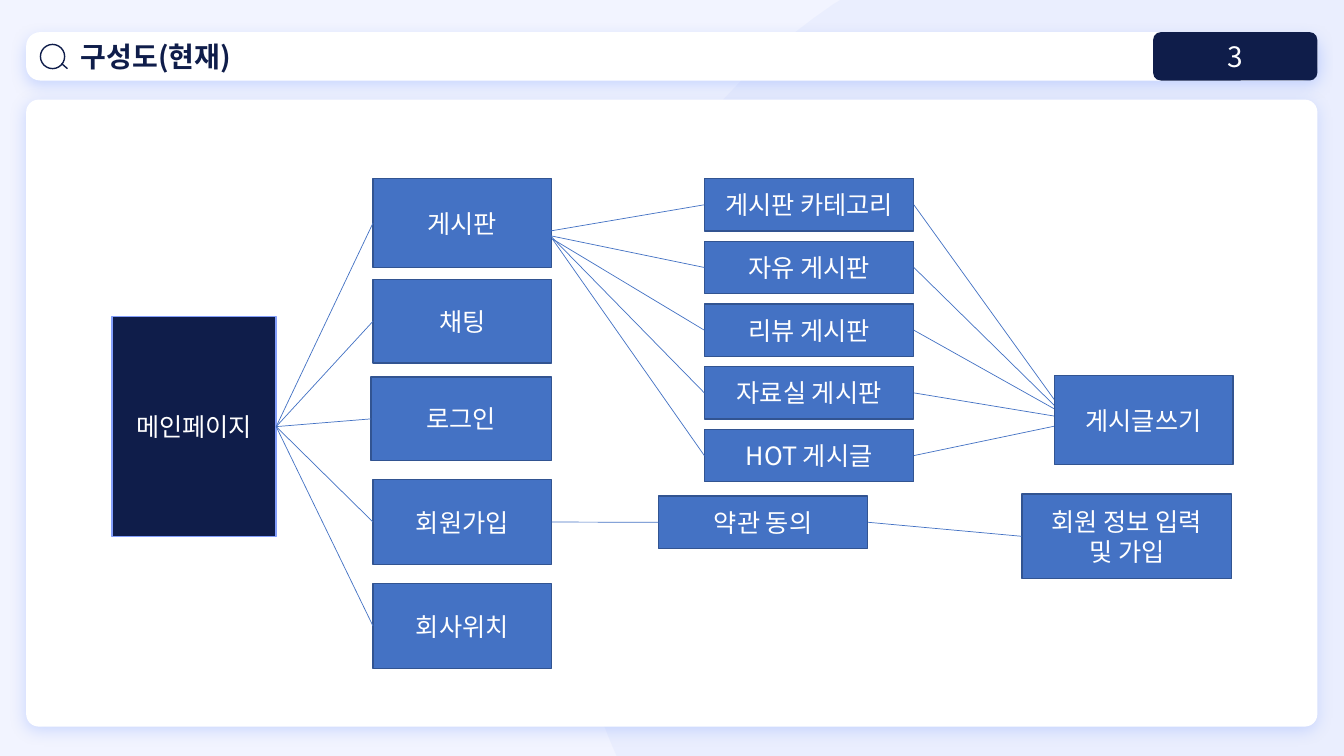
from pptx import Presentation
from pptx.dml.color import RGBColor
from pptx.enum.shapes import MSO_CONNECTOR as Connector, MSO_SHAPE as Shape
from pptx.enum.text import MSO_ANCHOR as Anchor, PP_ALIGN as Align
from pptx.oxml.ns import qn
from pptx.util import Cm, Pt
from lxml.etree import SubElement

FONT = "Noto Sans CJK KR"
NAVY, BLUE, EDGE, WHITE, GLOW = "0F1D4A", "4472C4", "325491", "FFFFFF", "8FACFC"
TOP, LEFT, BOTTOM, RIGHT = range(4)


def color(value):
    """Turn a hex string into a colour."""
    return RGBColor.from_string(value)


def write(box, text, size=18, ink=WHITE, bold=False, align=Align.CENTER, indent=0):
    """Fill a shape with formatted text, one paragraph a line."""
    frame = box.text_frame
    frame.word_wrap = True
    frame.vertical_anchor = Anchor.MIDDLE
    for index, line in enumerate(text.split("\n")):
        para = frame.add_paragraph() if index else frame.paragraphs[0]
        para.alignment = align
        span = para.add_run()
        span.text = line
        span.font.name = FONT
        span.font.size = Pt(size)
        span.font.bold = bold
        span.font.color.rgb = color(ink)
    for props in box.element.iter(qn("a:rPr")):
        SubElement(props, qn("a:ea"), typeface=FONT)
    if indent:
        for props in box.element.iter(qn("a:pPr")):
            props.set("marL", str(Cm(indent)))
            props.set("indent", "0")


def add_box(page, kind, place, fill=None, line=None, radius=None):
    """Add a preset shape with plain fill and outline."""
    box = page.shapes.add_shape(kind, *map(Cm, place))
    box.shadow.inherit = False
    if radius is not None:
        box.adjustments[0] = radius
    if fill:
        box.fill.solid()
        box.fill.fore_color.rgb = color(fill)
    else:
        box.fill.background()
    if line:
        box.line.color.rgb = color(line)
        box.line.width = Pt(1)
    else:
        box.line.fill.background()
    return box


def add_card(page, place, radius):
    """Add a white rounded card with a soft shadow."""
    card = add_box(page, Shape.ROUNDED_RECTANGLE, place, WHITE, radius=radius)
    effects = card.element.spPr.find(qn("a:effectLst"))
    shadow = SubElement(effects, qn("a:outerShdw"), blurRad=str(Pt(11)),
                        dist=str(Pt(3)), dir="5400000", algn="t", rotWithShape="0")
    tint = SubElement(shadow, qn("a:srgbClr"), val=GLOW)
    SubElement(tint, qn("a:alpha"), val="40000")
    return card


def add_node(page, text, place, fill=BLUE, line=EDGE):
    """Add a labelled rectangle of the site map."""
    node = add_box(page, Shape.RECTANGLE, place, fill, line)
    write(node, text)
    return node


def add_line(page, start=(0, 0), end=(0, 0), source=None, target=None,
             ink=BLUE, width=0.5):
    """Draw a straight line, joined to the source's right or target's left side."""
    link = page.shapes.add_connector(Connector.STRAIGHT, *map(Cm, (*start, *end)))
    if source:
        link.begin_connect(source, RIGHT)
    if target:
        link.end_connect(target, LEFT)
    link.line.color.rgb = color(ink)
    link.line.width = Pt(width)
    SubElement(link.element.spPr, qn("a:effectLst"))


def curve(points, steps=24):
    """List the points along a cubic curve, without its start."""
    weights = [((1 - t) ** 3, 3 * t * (1 - t) ** 2, 3 * t * t * (1 - t), t ** 3)
               for t in (step / steps for step in range(1, steps + 1))]
    return [tuple(sum(w * p[axis] for w, p in zip(row, points)) for axis in (0, 1))
            for row in weights]


def add_backdrop(page):
    """Draw the pale curved area behind the cards."""
    low, middle, high = (15.44, 18.82), (14.22, 12.85), (21.01, 0.1)
    outline = [(33.87, 0), (33.87, 19.05), (15.54, 19.05), low]
    outline += curve([low, (14.66, 16.99), (14.22, 14.96), middle])
    outline += curve([middle, (14.22, 7.54), (16.92, 2.87), high])
    builder = page.shapes.build_freeform(Cm(21.18), 0)
    builder.add_line_segments([(Cm(x), Cm(y)) for x, y in outline], close=True)
    area = builder.convert_to_shape()
    area.shadow.inherit = False
    area.line.fill.background()
    area.fill.solid()
    area.fill.fore_color.rgb = color(GLOW)
    tint = area.element.spPr.find(qn("a:solidFill"))[0]
    SubElement(tint, qn("a:alpha"), val="8000")


def add_frame(page, title, number):
    """Draw the title bar, its icon, the page number and the content card."""
    bar = add_card(page, (0.66, 0.81, 32.54, 1.22), 0.29)
    write(bar, title, size=20, ink=NAVY, bold=True, align=Align.LEFT, indent=1.02)
    add_box(page, Shape.OVAL, (1.02, 1.12, 0.61, 0.61), line=NAVY)
    add_line(page, (1.55, 1.6), (1.7, 1.73), ink=NAVY, width=1)
    add_box(page, Shape.ROUNDED_RECTANGLE, (29.06, 0.81, 4.14, 1.22), NAVY, radius=0.16)
    add_card(page, (0.66, 2.51, 32.54, 15.8), 0.02)
    label = page.shapes.add_textbox(*map(Cm, (30.38, 0.91, 1.5, 1.02)))
    write(label, number, size=20)


def add_site_map(page):
    """Draw the pages of the site and the links between them."""
    home = add_node(page, "메인페이지", (2.82, 7.98, 4.14, 5.54), NAVY, "849FFB")
    menu = {}
    for text, left, top, width, height in (
            ("게시판", 9.4, 4.5, 4.5, 2.24), ("채팅", 9.4, 7.04, 4.5, 2.11),
            ("로그인", 9.35, 9.5, 4.55, 2.11), ("회원가입", 9.4, 12.09, 4.5, 2.13),
            ("회사위치", 9.4, 14.71, 4.5, 2.13)):
        menu[text] = add_node(page, text, (left, top, width, height))
        add_line(page, source=home, target=menu[text])

    boards = (("게시판 카테고리", (13.87, 5.82), (26.85, 10.46)),
              ("자유 게시판", (13.87, 5.94), (26.9, 10.54)),
              ("리뷰 게시판", (13.92, 6.02), (26.85, 10.46)),
              ("자료실 게시판", (13.87, 5.94), (26.9, 10.54)),
              ("HOT 게시글", (13.92, 6.02), (26.9, 10.67)))
    for index, (text, start, end) in enumerate(boards):
        board = add_node(page, text, (17.75, 4.5 + 1.58 * index, 5.28, 1.32))
        add_line(page, start=start, target=board)
        add_line(page, end=end, source=board)
    add_node(page, "게시글쓰기", (26.57, 9.47, 4.5, 2.24))

    terms = add_node(page, "약관 동의", (16.59, 12.5, 5.28, 1.32))
    details = add_node(page, "회원 정보 입력\n및 가입", (25.76, 12.45, 5.28, 2.13))
    add_line(page, source=menu["회원가입"], target=terms)
    add_line(page, source=terms, target=details)


def main():
    """Build and save the deck."""
    deck = Presentation()
    deck.slide_width, deck.slide_height = Cm(33.87), Cm(19.05)
    page = deck.slides.add_slide(deck.slide_layouts[6])
    page.background.fill.solid()
    page.background.fill.fore_color.rgb = color("F2F4FF")
    add_backdrop(page)
    add_frame(page, "구성도(현재)", "3")
    add_site_map(page)
    deck.save("out.pptx")


if __name__ == "__main__":
    main()
